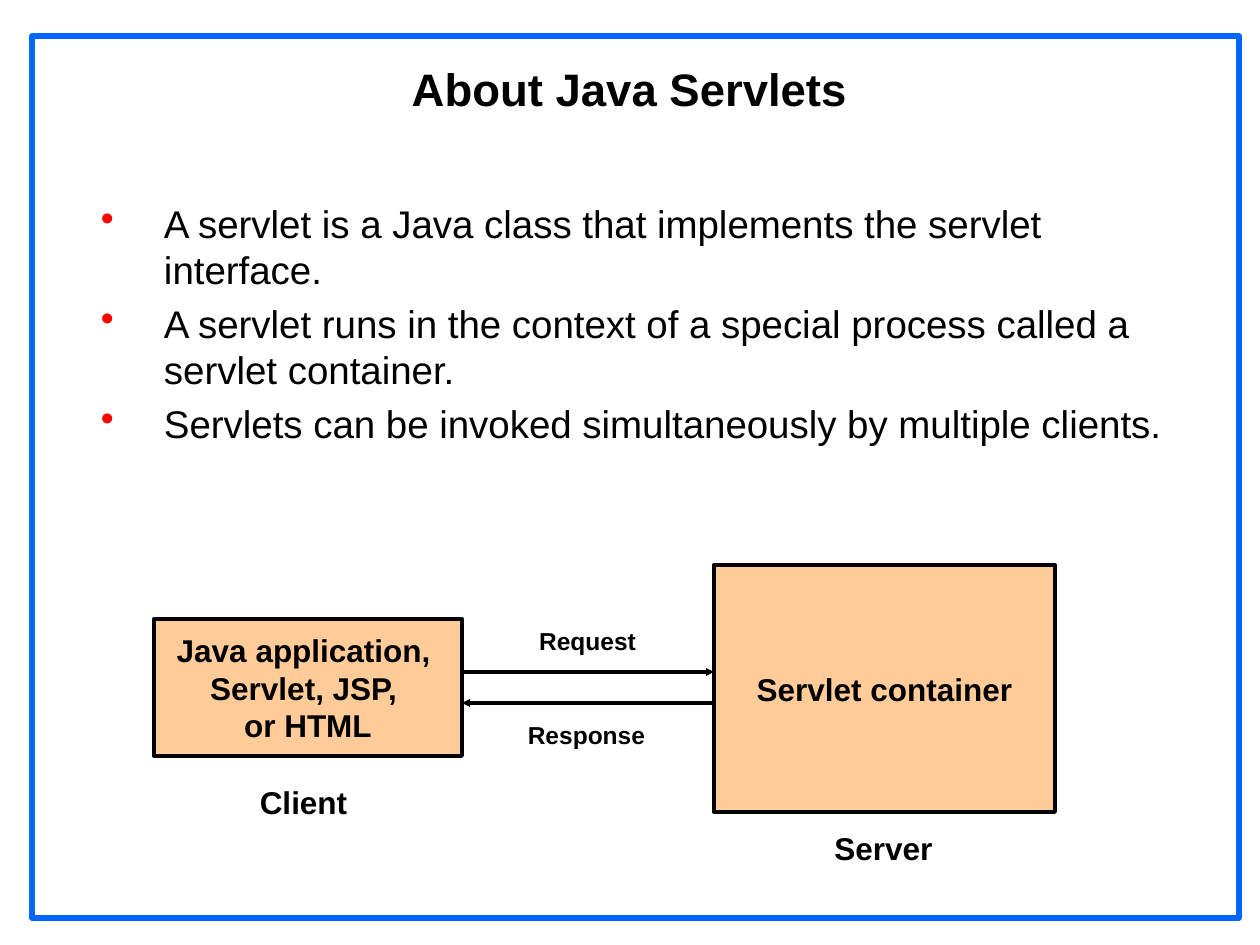
"""Build the slide "About Java Servlets" with a client and server diagram."""
import pptx
import pptx.dml.color
import pptx.enum.shapes
import pptx.enum.text
import pptx.oxml.ns
import pptx.util
from lxml import etree

PX = 914400 // 126
qn = pptx.oxml.ns.qn
Pt = pptx.util.Pt
ALIGN = pptx.enum.text.PP_ALIGN
ANCHOR = pptx.enum.text.MSO_ANCHOR
RECT = pptx.enum.shapes.MSO_SHAPE.RECTANGLE
STRAIGHT = pptx.enum.shapes.MSO_CONNECTOR.STRAIGHT


def rgb(code):
    return pptx.dml.color.RGBColor.from_string(code)


def write(sp, lines, size, bold=True, align=ALIGN.CENTER, inset=None):
    tf = sp.text_frame
    tf.word_wrap = True
    if inset is not None:
        tf.margin_left = tf.margin_right = inset * PX
        tf.margin_top = tf.margin_bottom = inset * PX
    for i, line in enumerate(lines):
        p = tf.paragraphs[0] if i == 0 else tf.add_paragraph()
        p.add_run().text = line
        p.alignment = align
        p.font.name = "Arial"
        p.font.size = Pt(size)
        p.font.bold = bold
        p.font.color.rgb = rgb("000000")
    return tf


prs = pptx.Presentation()
prs.slide_width, prs.slide_height = 1260 * PX, 945 * PX
s = prs.slides.add_slide(prs.slide_layouts[6])

rects = [
    (32, 36, 1207, 882, "FFFFFF", "0066FF", 3, []),
    (714, 565, 341, 247, "FFCC99", "000000", 2.25, ["Servlet container"]),
    (154, 619, 308, 137, "FFCC99", "000000", 2.25,
     ["Java application, ", "Servlet, JSP, ", "or HTML"]),
]
for x, y, w, h, fill, line, width, lines in rects:
    sp = s.shapes.add_shape(RECT, x * PX, y * PX, w * PX, h * PX)
    sp.shadow.inherit = False
    sp.fill.solid()
    sp.fill.fore_color.rgb = rgb(fill)
    sp.line.color.rgb = rgb(line)
    sp.line.width = Pt(width)
    if lines:
        tf = write(sp, lines, 18)
        tf.word_wrap = False
        tf.vertical_anchor = ANCHOR.MIDDLE

for x1, x2, y in [(462, 714, 672), (714, 462, 703)]:
    c = s.shapes.add_connector(STRAIGHT, x1 * PX, y * PX, x2 * PX, y * PX)
    c.line.color.rgb = rgb("000000")
    c.line.width = Pt(2.25)
    etree.SubElement(c.line._get_or_add_ln(), qn("a:tailEnd"),
                     type="triangle", w="sm", len="sm")
    etree.SubElement(c._element.spPr, qn("a:effectLst"))

labels = [
    ("Client", 168, 777, 50, 18),
    ("Server", 748, 823, 50, 18),
    ("Request", 452, 620, 42, 14),
    ("Response", 451, 714, 42, 14),
]
for text, x, y, h, size in labels:
    sp = s.shapes.add_textbox(x * PX, y * PX, 271 * PX, h * PX)
    write(sp, [text], size)

title = s.shapes.add_textbox(84, 60, 1091, 121)
title.left, title.top, title.width, title.height = 84 * PX, 60 * PX, 1091 * PX, 121 * PX
write(title, ["About Java Servlets"], 26, inset=1)

body = s.shapes.add_textbox(84 * PX, 199 * PX, 1091 * PX, 253 * PX)
bullets = [
    "A servlet is a Java class that implements the servlet interface.",
    "A servlet runs in the context of a special process called a servlet container.",
    "Servlets can be invoked simultaneously by multiple clients.",
]
tf = write(body, bullets, 22, bold=False, align=ALIGN.LEFT, inset=1)
for i, p in enumerate(tf.paragraphs):
    if i:
        p.space_before = Pt(4.4)
    pPr = p._p.get_or_add_pPr()
    pPr.set("marL", str(79 * PX))
    pPr.set("indent", str(-63 * PX))
    color = etree.Element(qn("a:buClr"))
    etree.SubElement(color, qn("a:srgbClr"), val="FF0000")
    char = etree.Element(qn("a:buChar"), char="•")
    defaults = pPr.find(qn("a:defRPr"))
    defaults.addprevious(color)
    defaults.addprevious(char)

prs.save("out.pptx")
